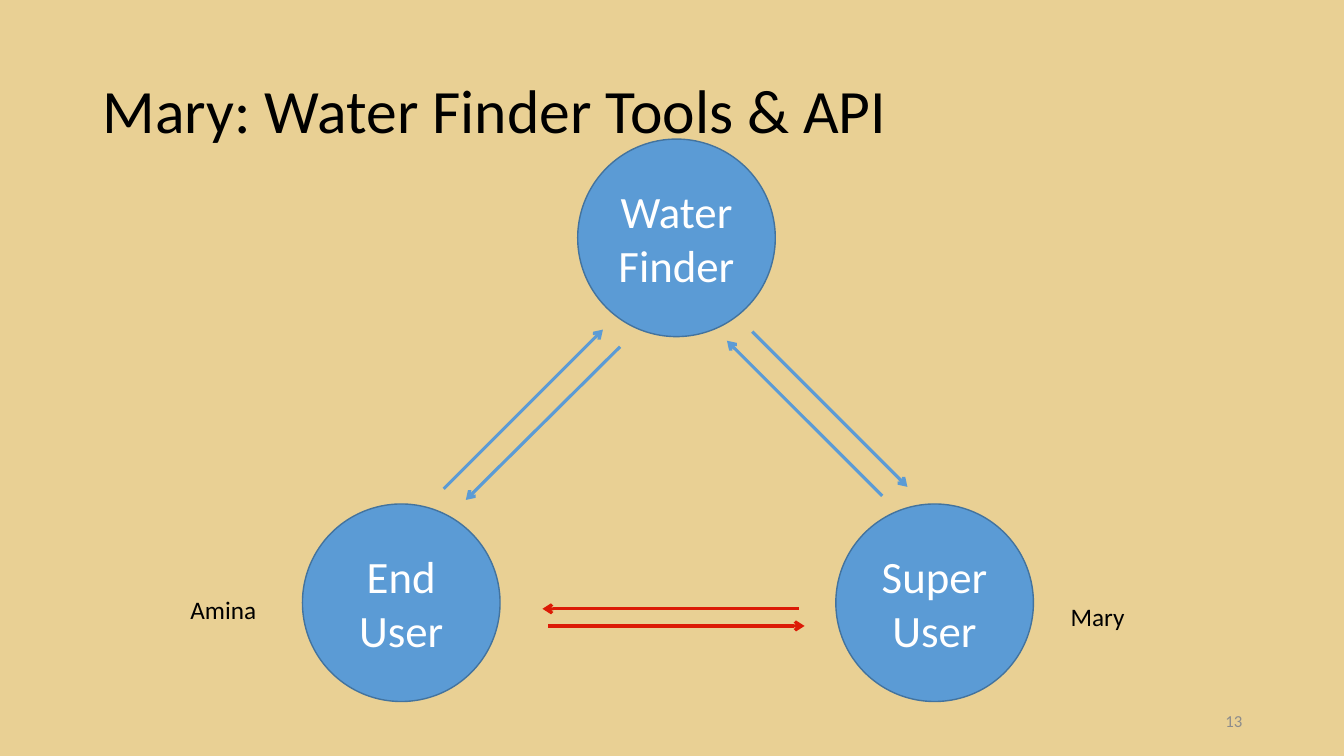
import lxml.etree
import pptx
import pptx.dml.color
import pptx.enum.shapes
import pptx.enum.text
import pptx.oxml.ns
import pptx.util

Inches = pptx.util.Inches
Align = pptx.enum.text.PP_ALIGN
Anchor = pptx.enum.text.MSO_ANCHOR

COLORS = {
    "sand": "E9D094",
    "blue": "5B9BD5",
    "outline": "43739E",
    "red": "DC1A06",
    "black": "000000",
    "white": "FFFFFF",
    "gray": "8C8C8C",
}


def color(name):
    return pptx.dml.color.RGBColor.from_string(COLORS[name])


def write(shape, text, size, ink="black", align=Align.LEFT, anchor=Anchor.MIDDLE,
          wrap=True, spacing=1.0):
    frame = shape.text_frame
    frame.word_wrap = wrap
    frame.vertical_anchor = anchor
    paragraph = frame.paragraphs[0]
    paragraph.text = text
    paragraph.alignment = align
    paragraph.line_spacing = spacing
    paragraph.font.size = pptx.util.Pt(size)
    paragraph.font.name = "Calibri"
    paragraph.font.color.rgb = color(ink)


presentation = pptx.Presentation()
presentation.slide_width = Inches(13.33)
presentation.slide_height = Inches(7.5)
slide = presentation.slides.add_slide(presentation.slide_layouts[6])
slide.background.fill.solid()
slide.background.fill.fore_color.rgb = color("sand")

title = slide.shapes.add_textbox(Inches(0.92), Inches(0.4), Inches(11.5), Inches(1.45))
write(title, "Mary: Water Finder Tools & API", 44, spacing=0.9)

slide_number = slide.shapes.add_textbox(Inches(9.42), Inches(6.95), Inches(3), Inches(0.4))
write(slide_number, "13", 12, ink="gray", align=Align.RIGHT)

DIAMETER = Inches(1.96)
for role, left, top in [
    ("Water Finder", 5.73, 1.38),
    ("Super User", 8.29, 5),
    ("End User", 3, 5),
]:
    circle = slide.shapes.add_shape(
        pptx.enum.shapes.MSO_SHAPE.OVAL, Inches(left), Inches(top), DIAMETER, DIAMETER)
    circle.shadow.inherit = False
    circle.fill.solid()
    circle.fill.fore_color.rgb = color("blue")
    circle.line.color.rgb = color("outline")
    circle.line.width = pptx.util.Pt(1)
    write(circle, role, 32, ink="white", align=Align.CENTER)

# Each arrow runs from its plain end to its arrowhead.
for start, end, ink in [
    ((4.4, 4.85), (5.98, 3.27), "blue"),
    ((6.15, 3.44), (4.62, 4.96), "blue"),
    ((8.75, 4.92), (7.21, 3.38), "blue"),
    ((7.46, 3.29), (9, 4.83), "blue"),
    ((7.92, 6.04), (5.38, 6.04), "red"),
    ((5.44, 6.21), (7.98, 6.21), "red"),
]:
    arrow = slide.shapes.add_connector(
        pptx.enum.shapes.MSO_CONNECTOR.STRAIGHT, *map(Inches, start + end))
    arrow.line.color.rgb = color(ink)
    arrow.line.width = pptx.util.Pt(2.25)
    line = arrow.line._get_or_add_ln()
    lxml.etree.SubElement(line, pptx.oxml.ns.qn("a:tailEnd"), type="arrow")
    lxml.etree.SubElement(arrow._element.spPr, pptx.oxml.ns.qn("a:effectLst"))

for person, left, top, width in [("Amina", 1.79, 5.85, 0.86), ("Mary", 10.52, 5.92, 0.74)]:
    label = slide.shapes.add_textbox(Inches(left), Inches(top), Inches(width), Inches(0.4))
    write(label, person, 18, anchor=Anchor.TOP, wrap=False)
    label.text_frame.auto_size = pptx.enum.text.MSO_AUTO_SIZE.SHAPE_TO_FIT_TEXT

presentation.save("out.pptx")
